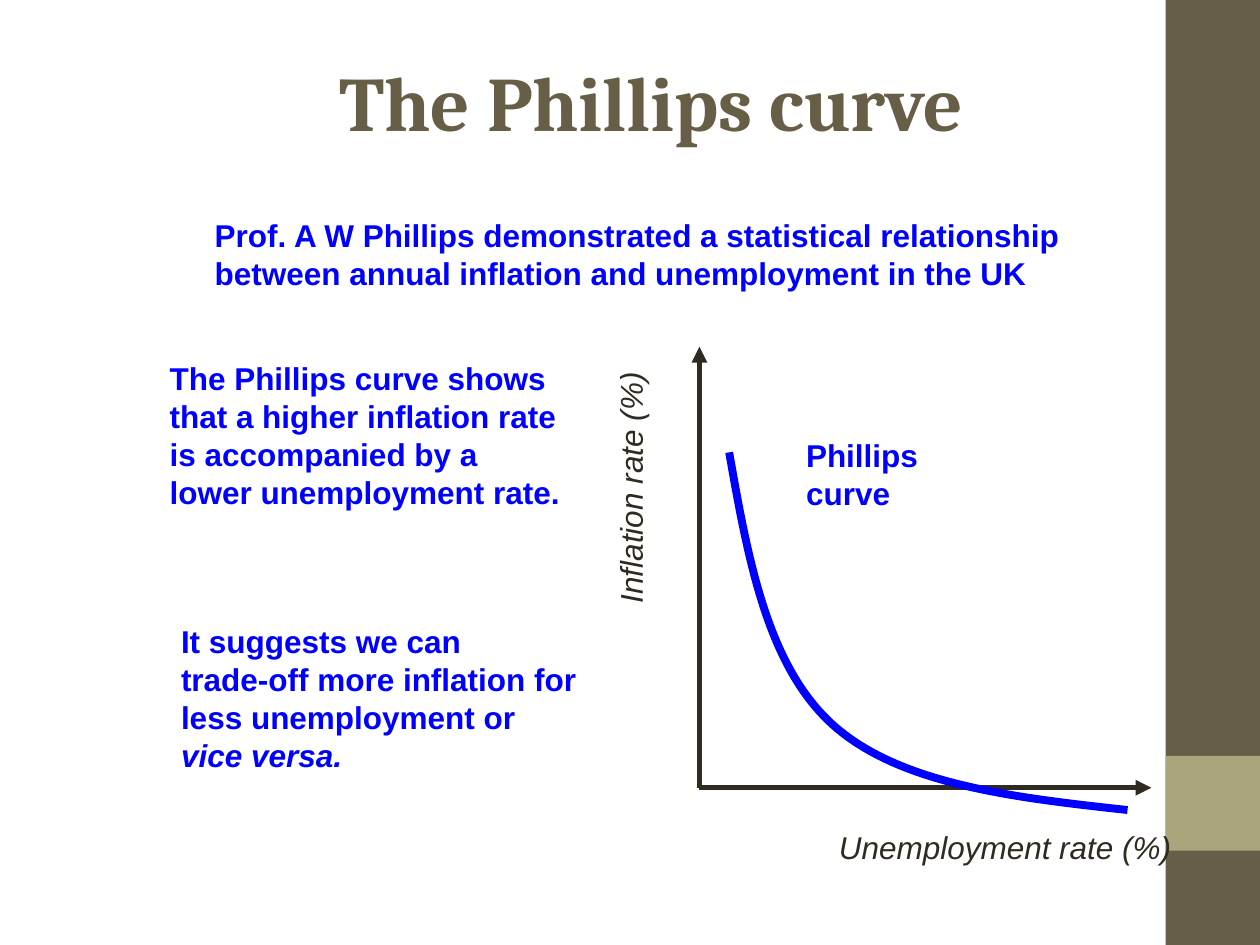
from lxml import etree
from pptx import Presentation
from pptx.dml.color import RGBColor
from pptx.enum.shapes import MSO_CONNECTOR as Link, MSO_SHAPE as Shape
from pptx.enum.text import MSO_AUTO_SIZE as AutoSize, PP_ALIGN as Align
from pptx.oxml.ns import qn
from pptx.util import Cm, Pt

BROWN, SAGE, INK, BLUE = "675E47", "A9A57C", "2F2B20", "0000FF"


def color(value):
    return RGBColor.from_string(value)


def add_text(left, top, width, height, lines, tint, size=18, font="Arial",
             bold=False, italic=False):
    box = slide.shapes.add_textbox(Cm(left), Cm(top), Cm(width), Cm(height))
    frame = box.text_frame
    frame.word_wrap = False
    frame.auto_size = AutoSize.SHAPE_TO_FIT_TEXT
    frame.text = "\n".join(lines)
    for para in frame.paragraphs:
        para.font.size, para.font.name = Pt(size), font
        para.font.bold, para.font.italic = bold, italic
        para.font.color.rgb = color(tint)
    return box


deck = Presentation()
deck.slide_width, deck.slide_height = Cm(25.4), Cm(19.05)
slide = deck.slides.add_slide(deck.slide_layouts[6])

# Side band with its accent square
for top, height, tint in [(0, 19.05, BROWN), (15.24, 1.91, SAGE)]:
    band = slide.shapes.add_shape(Shape.RECTANGLE, Cm(23.5), Cm(top), Cm(1.9), Cm(height))
    band.shadow.inherit = False
    band.fill.solid()
    band.fill.fore_color.rgb = color(tint)
    band.line.fill.background()

# Title
title = add_text(2.34, 0.97, 21.59, 3.07, ["The Phillips curve"], BROWN, 44, "Cambria", bold=True)
title.text_frame.word_wrap = True
title.text_frame.auto_size = AutoSize.NONE
title.text_frame.paragraphs[0].alignment = Align.CENTER

# Explanations
add_text(4.08, 4.24, 17.58, 1.78,
         ["Prof. A W Phillips demonstrated a statistical relationship",
          "between annual inflation and unemployment in the UK"], BLUE, bold=True)
add_text(3.17, 7.12, 8.38, 3.3,
         ["The Phillips curve shows", "that a higher inflation rate",
          "is accompanied by a", "lower unemployment rate."], BLUE, bold=True)
trade_off = add_text(3.4, 12.42, 8.48, 3.3,
                     ["It suggests we can", "trade-off more inflation for",
                      "less unemployment or", "vice versa."], BLUE, bold=True)
trade_off.text_frame.paragraphs[-1].font.italic = True

# Axes from a shared origin
origin_x, origin_y = 14.1, 15.88
for end_x, end_y in [(origin_x, 6.99), (23.21, origin_y)]:
    axis = slide.shapes.add_connector(
        Link.STRAIGHT, Cm(origin_x), Cm(origin_y), Cm(end_x), Cm(end_y))
    axis.line.color.rgb = color(INK)
    axis.line.width = Pt(3)
    etree.SubElement(axis.line._get_or_add_ln(), qn("a:tailEnd"), type="triangle")
    etree.SubElement(axis._element.spPr, qn("a:effectLst"))

# Axis labels
add_text(16.66, 16.56, 7.21, 1.02, ["Unemployment rate (%)"], INK, italic=True)
inflation = add_text(10.13, 9.32, 5.16, 1.02, ["Inflation rate (%)"], INK, italic=True)
inflation.rotation = 270

# Phillips curve: start point, then two Bezier segments of three points each
points = [(14.7, 9.12), (15.08, 11.28), (15.47, 13.44), (16.81, 14.63),
          (18.16, 15.82), (20.45, 16.08), (22.73, 16.33)]
points = [(Cm(x), Cm(y)) for x, y in points]
builder = slide.shapes.build_freeform(*points[0])
builder.add_line_segments(points[1:], close=False)
curve = builder.convert_to_shape()
curve.shadow.inherit = False
curve.fill.background()
curve.line.color.rgb = color(BLUE)
curve.line.width = Pt(4.5)
outline = curve._element.spPr.find(".//" + qn("a:path"))
steps = outline.findall(qn("a:lnTo"))
for first in range(0, len(steps), 3):
    bezier = etree.SubElement(outline, qn("a:cubicBezTo"))
    for step in steps[first:first + 3]:
        bezier.append(step[0])
        outline.remove(step)

add_text(16, 8.66, 4.62, 1.02, ["Phillips curve"], BLUE, bold=True)

deck.save("out.pptx")
